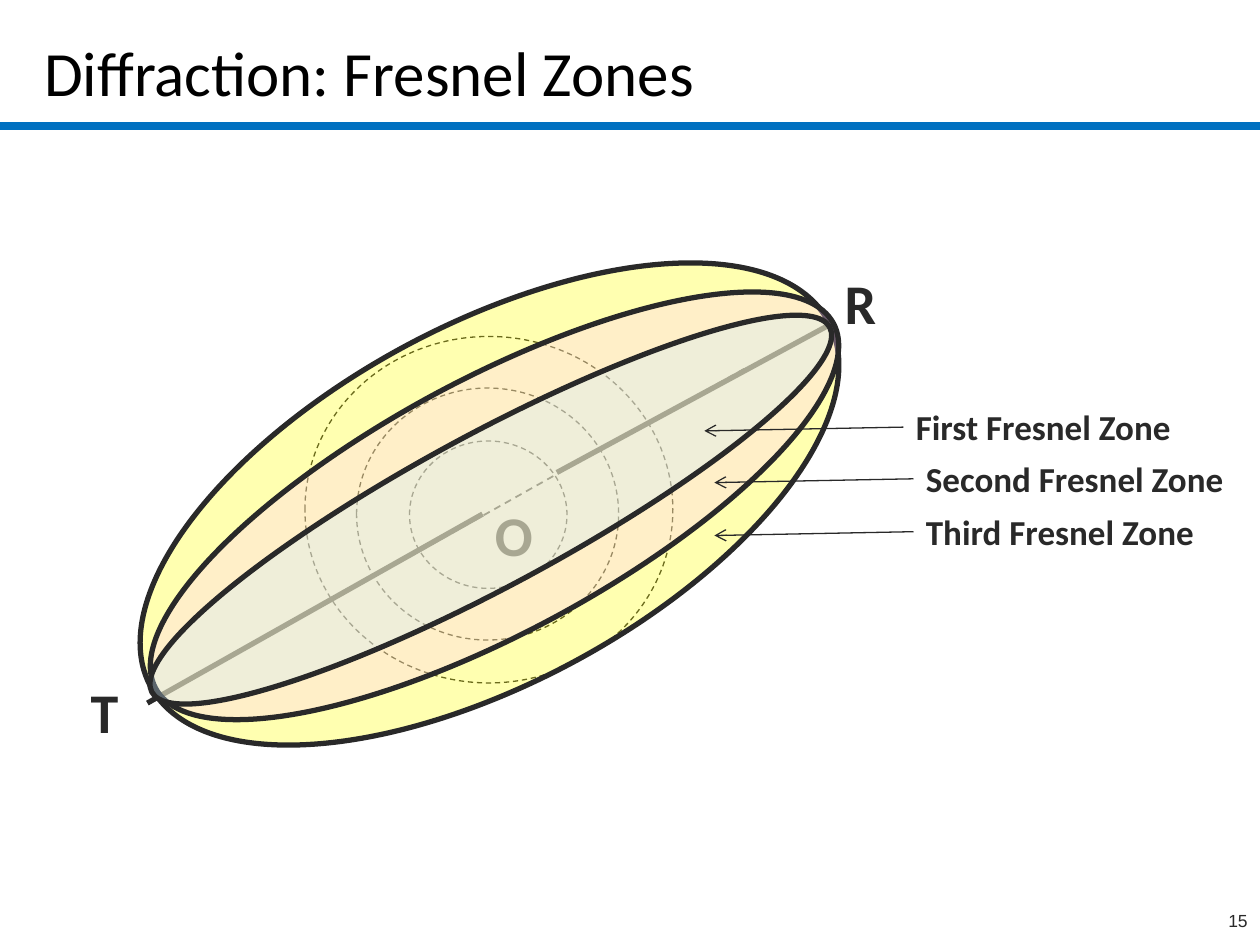
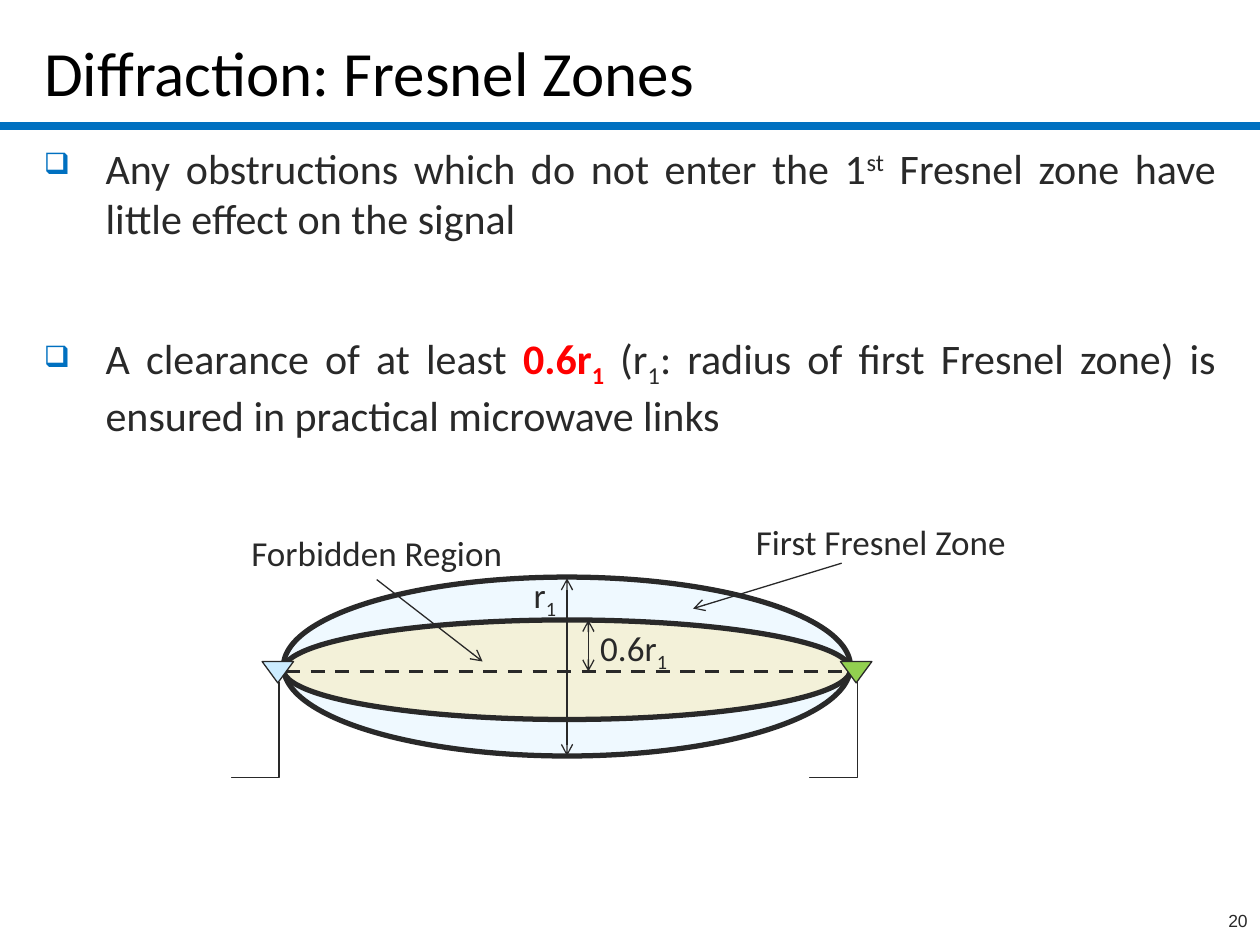
from dataclasses import dataclass
from lxml.etree import SubElement
from pptx import Presentation
from pptx.dml.color import RGBColor
from pptx.enum.dml import MSO_LINE
from pptx.enum.shapes import MSO_CONNECTOR, MSO_SHAPE
from pptx.enum.text import MSO_ANCHOR, MSO_AUTO_SIZE, PP_ALIGN
from pptx.oxml.ns import qn
from pptx.util import Pt

SCALE = 9144
LEFT, MID, RIGHT, JUST = (PP_ALIGN.LEFT, PP_ALIGN.CENTER,
                          PP_ALIGN.RIGHT, PP_ALIGN.JUSTIFY)


@dataclass(frozen=True)
class Theme:
    font: str = "Calibri"
    small: str = "Arial"
    black: str = "000000"
    ink: str = "292929"
    blue: str = "0070C0"
    red: str = "FF0000"
    yellow: str = "FFFF00"
    pink: str = "FFCCFF"
    sky: str = "CCECFF"
    sand: str = "FFE085"
    green: str = "92D050"
    title: int = 36
    point: int = 32
    body: int = 24
    label: int = 20
    foot: int = 10
    thick: float = 3
    thin: float = 0.75
    band: float = 5
    clear: int = 31


def px(*sizes):
    return [size * SCALE for size in sizes]


class Deck:
    def __init__(self, theme):
        self.theme = theme
        self.file = Presentation()
        self.file.slide_width, self.file.slide_height = px(1000, 750)

    def page(self, title, number):
        t = self.theme
        self.slide = self.file.slides.add_slide(self.file.slide_layouts[5])
        self.loose()
        self.line(0, 100, 1000, 100, t.band, t.blue)
        head = self.slide.shapes.title
        head.left, head.top, head.width, head.height = px(25, 11, 950, 81)
        frame = head.text_frame
        frame.auto_size = MSO_AUTO_SIZE.NONE
        frame.vertical_anchor = MSO_ANCHOR.BOTTOM
        frame.paragraphs[0].alignment = LEFT
        self.run(frame.paragraphs[0], title, t.title, t.black)
        self.text(792, 717, 208, 33, [number], t.foot, RIGHT, font=t.small)

    def group(self):
        self.shapes = self.slide.shapes.add_group_shape().shapes

    def loose(self):
        self.shapes = self.slide.shapes

    def run(self, para, text, size, color=None, bold=False, base=0, font=None):
        run = para.add_run()
        run.text = text
        run.font.size = Pt(size)
        run.font.name = font or self.theme.font
        run.font.bold = bold
        run.font.color.rgb = RGBColor.from_string(color or self.theme.ink)
        if base:
            run.font._element.set("baseline", str(base * 1000))

    def frame(self, x, y, w, h):
        frame = self.shapes.add_textbox(*px(x, y, w, h)).text_frame
        frame.word_wrap = True
        return frame

    def text(self, x, y, w, h, parts, size, align=MID, bold=False, font=None):
        para = self.frame(x, y, w, h).paragraphs[0]
        para.alignment = align
        for part, base in zip(parts, (0, -25)):
            self.run(para, part, size, bold=bold, base=base, font=font)

    def label(self, x, y, w, *parts, align=MID, bold=False):
        self.text(x, y, w, 44, parts, self.theme.label, align, bold)

    def bullets(self, x, y, w, h, items):
        t = self.theme
        frame = self.frame(x, y, w, h)
        for i, (gap, runs) in enumerate(items):
            para = frame.add_paragraph() if i else frame.paragraphs[0]
            para.alignment = JUST
            para.space_before, para.space_after = Pt(gap), Pt(6)
            props = para._p.get_or_add_pPr()
            props.set("marL", str(49 * SCALE))
            props.set("indent", str(-49 * SCALE))
            color = SubElement(props, qn("a:buClr"))
            SubElement(color, qn("a:srgbClr"), val=t.blue)
            SubElement(props, qn("a:buSzPct"), val="70000")
            SubElement(props, qn("a:buChar"), char="❑")
            for text, style in runs:
                self.run(para, text, t.body, **style)

    def stroke(self, line, width, color=None, dash=False):
        line.width = Pt(width)
        line.color.rgb = RGBColor.from_string(color or self.theme.ink)
        if dash:
            line.dash_style = MSO_LINE.DASH

    def shape(self, kind, x, y, w, h, fill=None, width=None,
              clear=None, dash=False, turn=0):
        shape = self.shapes.add_shape(kind, *px(x, y, w, h))
        shape.shadow.inherit = False
        shape.rotation = turn
        if fill:
            shape.fill.solid()
            shape.fill.fore_color.rgb = RGBColor.from_string(fill)
        else:
            shape.fill.background()
        if clear:
            color = shape.element.spPr.xpath("a:solidFill/a:srgbClr")[0]
            SubElement(color, qn("a:alpha"), val=str(clear * 1000))
        self.stroke(shape.line, width or self.theme.thin, dash=dash)

    def oval(self, *box, **style):
        self.shape(MSO_SHAPE.OVAL, *box, **style)

    def zone(self, x, y, w, h, fill, turn=0):
        self.oval(x, y, w, h, fill=fill, width=self.theme.thick,
                  clear=self.theme.clear, turn=turn)

    def line(self, x1, y1, x2, y2, width=None, color=None, dash=False,
             ends=(), kind=MSO_CONNECTOR.STRAIGHT):
        line = self.shapes.add_connector(kind, *px(x1, y1, x2, y2))
        self.stroke(line.line, width or self.theme.thin, color, dash)
        props = line._element.spPr
        for end in ends:
            SubElement(props.find(qn("a:ln")), qn(f"a:{end}End"), type="arrow")
        SubElement(props, qn("a:effectLst"))
        return props

    def arrow(self, x1, y1, x2, y2, both=False):
        ends = ("head", "tail") if both else ("tail",)
        self.line(x1, y1, x2, y2, ends=ends)

    def mast(self, x, y, fill):
        self.group()
        self.shape(MSO_SHAPE.FLOWCHART_MERGE, x, y, 25, 17, fill)
        props = self.line(x - 43, y + 35, x + 32, y + 73,
                          kind=MSO_CONNECTOR.ELBOW)
        props.find(qn("a:xfrm")).set("rot", "5400000")
        guides = props.find(qn("a:prstGeom")).find(qn("a:avLst"))
        SubElement(guides, qn("a:gd"), name="adj1", fmla="val 100500")
        self.loose()


def zones(deck):
    t = deck.theme
    deck.page("Diffraction: Fresnel Zones", "15")
    deck.group()
    deck.line(117, 558, 383, 408, t.thick)
    deck.line(442, 375, 658, 258, t.thick)
    deck.line(325, 442, 592, 292, 1, dash=True)
    for name, x, y, w in (("T", 58, 533, 50), ("R", 658, 208, 50),
                          ("O", 383, 392, 33)):
        deck.text(x, y, w, 64, [name], t.point, bold=True)
    for x, y, w, h in ((325, 350, 125, 117), (283, 308, 208, 200),
                       (242, 267, 292, 275)):
        deck.oval(x, y, w, h, dash=True)
    for x, y, h, fill in ((83, 258, 284, t.yellow), (87, 301, 201, t.pink),
                          (84, 344, 121, t.sky)):
        deck.zone(x, y, 611, h, fill, 331.7)
    for i, (name, x, w) in enumerate((("First", 717, 242),
                                      ("Second", 725, 275),
                                      ("Third", 725, 242))):
        y = round(317 + 41.5 * i)
        deck.label(x, y, w, f"{name} Fresnel Zone", align=LEFT, bold=True)
        deck.arrow(x, y + 22, x - 158, y + 25)


def region(deck):
    t = deck.theme
    deck.page("Diffraction: Fresnel Zones", "20")
    strong = dict(color=t.red, bold=True)
    deck.bullets(25, 108, 950, 300, (
        (5, (("Any obstructions which do not enter the 1", {}),
             ("st", dict(base=30)),
             (" Fresnel zone have little effect on the signal", {}))),
        (45, (("A clearance of at least ", {}),
              ("0.6r", strong),
              ("1", dict(base=-25, **strong)),
              (" (r", {}),
              ("1", dict(base=-25)),
              (": radius of first Fresnel zone) is ensured in practical "
               "microwave links", {})))))
    deck.zone(225, 458, 450, 142, t.sky)
    deck.zone(225, 492, 450, 79, t.sand)
    deck.mast(208, 525, t.sky)
    deck.mast(667, 525, t.green)
    deck.arrow(668, 447, 550, 483)
    deck.label(133, 417, 332, "Forbidden Region")
    deck.arrow(299, 460, 383, 525)
    deck.arrow(467, 533, 467, 492, both=True)
    deck.line(227, 533, 673, 533, 2, dash=True)
    deck.label(533, 408, 332, "First Fresnel Zone")
    deck.label(458, 492, 90, "0.6r", "1")
    deck.arrow(450, 600, 450, 459, both=True)
    deck.label(400, 450, 65, "r", "1")


def main():
    deck = Deck(Theme())
    zones(deck)
    region(deck)
    deck.file.save("out.pptx")


if __name__ == "__main__":
    main()
